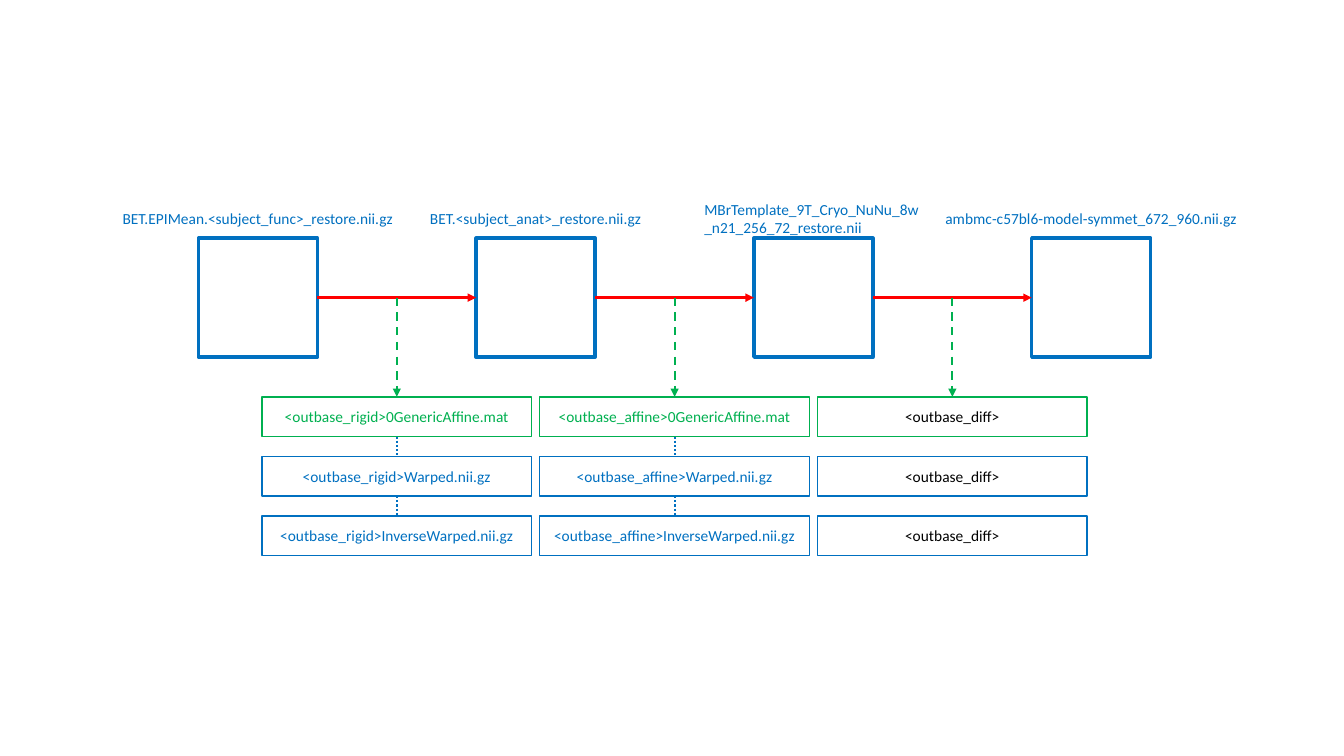
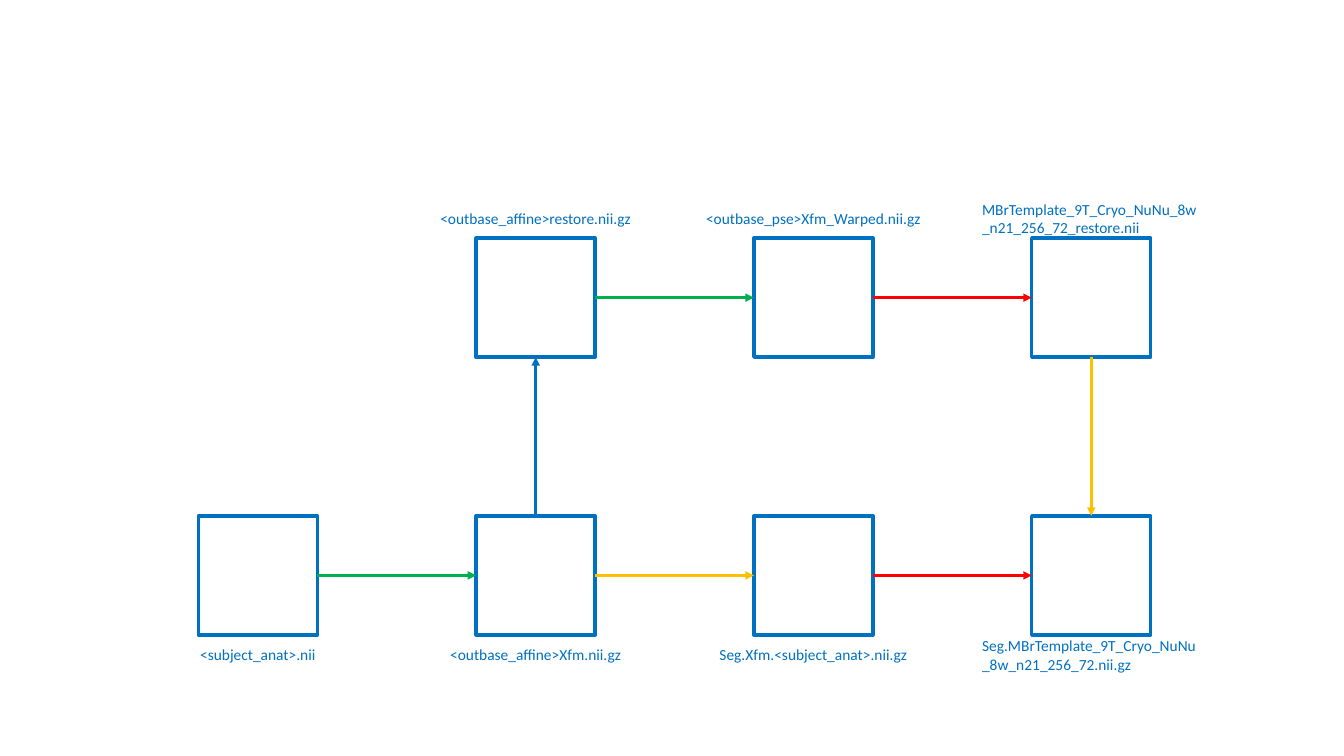
from lxml import etree
from pptx import Presentation
from pptx.dml.color import RGBColor
from pptx.enum.dml import MSO_LINE
from pptx.enum.shapes import MSO_CONNECTOR, MSO_SHAPE
from pptx.enum.text import MSO_ANCHOR, PP_ALIGN
from pptx.oxml.ns import qn
from pptx.util import Cm, Pt

RECTANGLE = MSO_SHAPE.RECTANGLE
STRAIGHT = MSO_CONNECTOR.STRAIGHT
DASH, DOT = MSO_LINE.DASH, MSO_LINE.ROUND_DOT
MIDDLE = MSO_ANCHOR.MIDDLE
LEFT, CENTER = PP_ALIGN.LEFT, PP_ALIGN.CENTER
TOP_SIDE, LEFT_SIDE, BOTTOM_SIDE, RIGHT_SIDE = range(4)

BLUE, GREEN, RED, AMBER, BLACK = "0070C0", "00B050", "FF0000", "FFC000", "000000"
FONT, TEXT_SIZE = "Calibri", 11

# Lengths in centimetres
IMAGE_SIZE = 3
FIRST_COLUMN, FIRST_ROW, PITCH = 5, 6, 7
LABEL_HEIGHT = 1
OUTPUT_WIDTH, OUTPUT_HEIGHT = 6.8, 1
OUTPUT_TOP, OUTPUT_PITCH = 10, 1.5

TEMPLATE = "MBrTemplate_9T_Cryo_NuNu_8w_n21_256_72_restore.nii"


def rgb(color):
    return RGBColor.from_string(color)


def write(frame, text, color, align):
    frame.word_wrap = True
    frame.vertical_anchor = MIDDLE
    paragraph = frame.paragraphs[0]
    paragraph.alignment = align
    run = paragraph.add_run()
    run.text = text
    run.font.name = FONT
    run.font.size = Pt(TEXT_SIZE)
    run.font.color.rgb = rgb(color)


def add_frame(slide, left, top, width, height, color, weight):
    """Add an unfilled, outlined rectangle."""
    frame = slide.shapes.add_shape(RECTANGLE, Cm(left), Cm(top), Cm(width), Cm(height))
    frame.shadow.inherit = False
    frame.fill.background()
    frame.line.color.rgb = rgb(color)
    frame.line.width = Pt(weight)
    return frame


def add_image_box(slide, column, row):
    return add_frame(slide, FIRST_COLUMN + column * PITCH, FIRST_ROW + row * PITCH,
                     IMAGE_SIZE, IMAGE_SIZE, BLUE, 2.5)


def add_label(slide, column, row, text, width=6, align=CENTER):
    """Name an image box: above it in the first row, below it in the second."""
    left = FIRST_COLUMN + column * PITCH + (IMAGE_SIZE - width) / 2
    top = FIRST_ROW + row * PITCH + (IMAGE_SIZE if row else -LABEL_HEIGHT)
    label = slide.shapes.add_textbox(Cm(left), Cm(top), Cm(width), Cm(LABEL_HEIGHT))
    write(label.text_frame, text, BLUE, align)


def add_line(slide, color, weight, end, start=None, origin=(0, 0), dash=None, arrow=True):
    """Draw to end, a (shape, side) pair, from another such pair or from a free origin."""
    x, y = origin
    line = slide.shapes.add_connector(STRAIGHT, x, y, x, y)
    if start:
        line.begin_connect(*start)
    line.end_connect(*end)
    line.line.color.rgb = rgb(color)
    line.line.width = Pt(weight)
    if dash:
        line.line.dash_style = dash
    properties = line.element.spPr
    if arrow:
        etree.SubElement(properties.find(qn("a:ln")), qn("a:tailEnd"), type="triangle")
    etree.SubElement(properties, qn("a:effectLst"))


def add_step(slide, source, target, color, sides=(RIGHT_SIDE, LEFT_SIDE)):
    add_line(slide, color, 2, (target, sides[1]), start=(source, sides[0]))


def add_outputs(slide, step, names, text_colors):
    """Stack the files written by one registration step below its arrow."""
    center = FIRST_COLUMN + step * PITCH + (IMAGE_SIZE + PITCH) / 2
    outputs = []
    for index, (name, text_color) in enumerate(zip(names, text_colors)):
        output = add_frame(slide, center - OUTPUT_WIDTH / 2, OUTPUT_TOP + index * OUTPUT_PITCH,
                           OUTPUT_WIDTH, OUTPUT_HEIGHT, BLUE if index else GREEN, 1)
        write(output.text_frame, name, text_color, CENTER)
        outputs.append(output)
    add_line(slide, GREEN, 1.5, (outputs[0], TOP_SIDE), dash=DASH,
             origin=(Cm(center), Cm(FIRST_ROW + IMAGE_SIZE / 2)))
    return outputs


def link_outputs(slide, outputs):
    for upper, lower in zip(outputs, outputs[1:]):
        add_line(slide, BLUE, 1.5, (lower, TOP_SIDE), start=(upper, BOTTOM_SIDE),
                 dash=DOT, arrow=False)


def build_registration(slide):
    images = [add_image_box(slide, column, 0) for column in range(4)]
    for source, target in zip(images, images[1:]):
        add_step(slide, source, target, RED)

    endings = ("0GenericAffine.mat", "Warped.nii.gz", "InverseWarped.nii.gz")
    for step, base in enumerate(("<outbase_rigid>", "<outbase_affine>")):
        names = [base + ending for ending in endings]
        link_outputs(slide, add_outputs(slide, step, names, (GREEN, BLUE, BLUE)))
    add_outputs(slide, 2, ["<outbase_diff>"] * 3, [BLACK] * 3)

    add_label(slide, 0, 0, "BET.EPIMean.<subject_func>_restore.nii.gz", width=8)
    add_label(slide, 1, 0, "BET.<subject_anat>_restore.nii.gz")
    add_label(slide, 2, 0, TEMPLATE, align=LEFT)
    add_label(slide, 3, 0, "ambmc-c57bl6-model-symmet_672_960.nii.gz", width=8)


def build_segmentation(slide):
    subject, affine, segmented, atlas = [add_image_box(slide, column, 1) for column in range(4)]
    restored, warped, template = [add_image_box(slide, column, 0) for column in range(1, 4)]

    add_step(slide, subject, affine, GREEN)
    add_step(slide, affine, segmented, AMBER)
    add_step(slide, segmented, atlas, RED)
    add_step(slide, restored, warped, GREEN)
    add_step(slide, warped, template, RED)
    add_step(slide, affine, restored, BLUE, (TOP_SIDE, BOTTOM_SIDE))
    add_step(slide, template, atlas, AMBER, (BOTTOM_SIDE, TOP_SIDE))

    add_label(slide, 1, 0, "<outbase_affine>restore.nii.gz")
    add_label(slide, 2, 0, "<outbase_pse>Xfm_Warped.nii.gz")
    add_label(slide, 3, 0, TEMPLATE, align=LEFT)
    add_label(slide, 0, 1, "<subject_anat>.nii")
    add_label(slide, 1, 1, "<outbase_affine>Xfm.nii.gz")
    add_label(slide, 2, 1, "Seg.Xfm.<subject_anat>.nii.gz")
    add_label(slide, 3, 1, "Seg.MBrTemplate_9T_Cryo_NuNu_8w_n21_256_72.nii.gz", align=LEFT)


def main():
    presentation = Presentation()
    presentation.slide_width = Cm(33.87)
    presentation.slide_height = Cm(19.05)
    blank = presentation.slide_layouts[6]
    for build in (build_registration, build_segmentation):
        build(presentation.slides.add_slide(blank))
    presentation.save("out.pptx")


if __name__ == "__main__":
    main()
